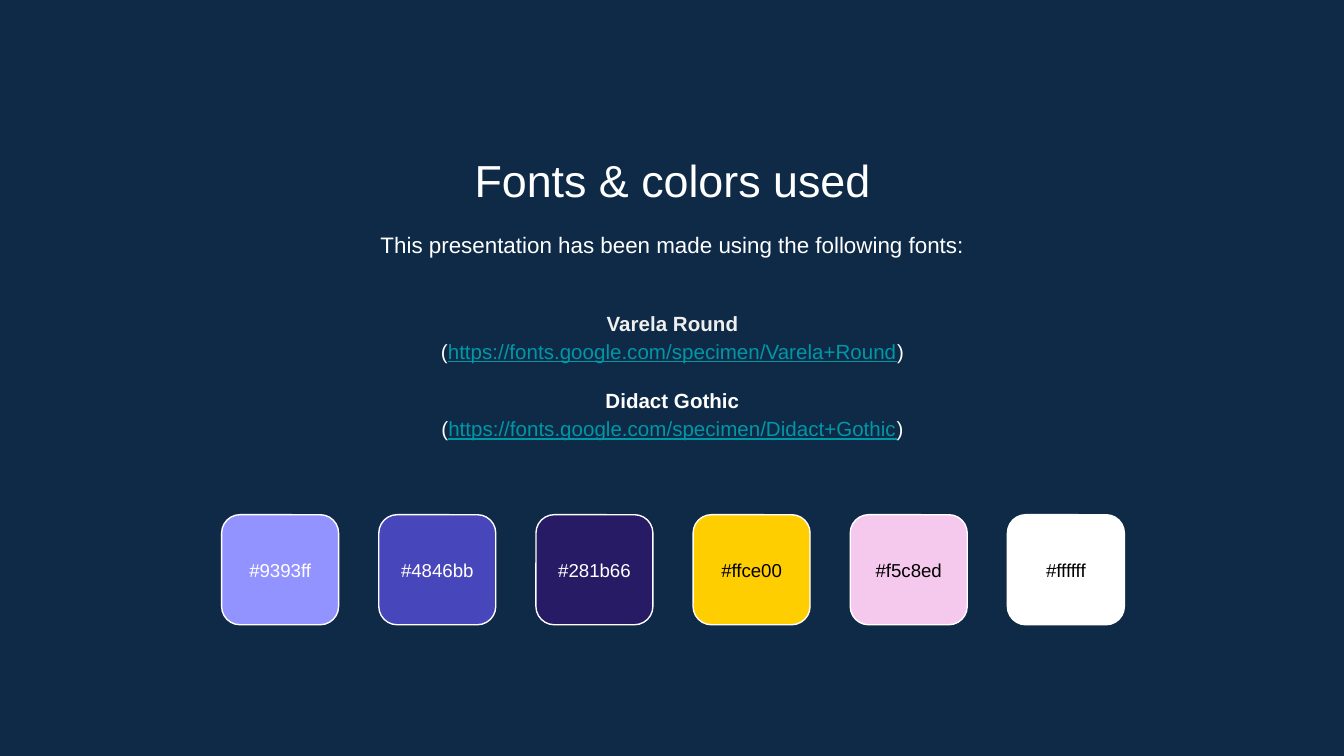
from pptx import Presentation
from pptx import util as u
from pptx.dml.color import RGBColor
from pptx.enum import shapes, text

Cm, Pt = u.Cm, u.Pt
NAVY = RGBColor(0x0E, 0x2A, 0x47)
WHITE = RGBColor(0xFF, 0xFF, 0xFF)
BLACK = RGBColor(0, 0, 0)
PALE = RGBColor(0xEF, 0xEF, 0xEF)
TEAL = RGBColor(0, 0x97, 0xA7)

TITLE = "Fonts & colors used"
INTRO = "This presentation has been made using the following fonts:"
FONTS = [
    ("Varela Round", PALE, "https://fonts.google.com/specimen/Varela+Round"),
    ("Didact Gothic", WHITE, "https://fonts.google.com/specimen/Didact+Gothic"),
]
COLORS = [
    ("#9393ff", WHITE),
    ("#4846bb", WHITE),
    ("#281b66", WHITE),
    ("#ffce00", BLACK),
    ("#f5c8ed", BLACK),
    ("#ffffff", BLACK),
]
LEFT, WIDE = 2.92, 19.58
TILE_X, TILE_Y, TILE_W, TILE_H, STEP = 4.19, 9.73, 2.21, 2.08, 2.97


def set_frame(shape, anchor):
    frame = shape.text_frame
    frame.word_wrap = True
    frame.auto_size = text.MSO_AUTO_SIZE.NONE
    frame.vertical_anchor = anchor
    frame.margin_left = frame.margin_right = Cm(0.25)
    frame.margin_top = frame.margin_bottom = Cm(0.25)
    return frame


def add_line(frame, runs, size, first=True, space=1.0, before=0):
    para = frame.paragraphs[0] if first else frame.add_paragraph()
    para.alignment = text.PP_ALIGN.CENTER
    para.line_spacing = space
    para.space_before = Pt(before)
    for words, color, bold, under in runs:
        run = para.add_run()
        run.text = words
        font = run.font
        font.name, font.size = "Arial", Pt(size)
        font.bold, font.underline = bold, under
        font.color.rgb = color


def add_box(slide, top, high, anchor):
    box = slide.shapes.add_textbox(Cm(LEFT), Cm(top), Cm(WIDE), Cm(high))
    return set_frame(box, anchor)


def add_tile(slide, col, code, ink):
    tile = slide.shapes.add_shape(
        shapes.MSO_SHAPE.ROUNDED_RECTANGLE,
        Cm(TILE_X + col * STEP), Cm(TILE_Y), Cm(TILE_W), Cm(TILE_H))
    tile.shadow.inherit = False
    tile.fill.solid()
    tile.fill.fore_color.rgb = RGBColor.from_string(code[1:].upper())
    tile.line.color.rgb = WHITE
    tile.line.width = Pt(0.75)
    frame = set_frame(tile, text.MSO_ANCHOR.MIDDLE)
    add_line(frame, [(code, ink, False, False)], 10)


def main():
    deck = Presentation()
    deck.slide_width, deck.slide_height = Cm(25.4), Cm(14.29)
    slide = deck.slides.add_slide(deck.slide_layouts[5])
    slide.background.fill.solid()
    slide.background.fill.fore_color.rgb = NAVY

    title = slide.shapes.title
    title.left, title.top = Cm(LEFT), Cm(2.64)
    title.width, title.height = Cm(WIDE), Cm(1.35)
    frame = set_frame(title, text.MSO_ANCHOR.TOP)
    add_line(frame, [(TITLE, WHITE, False, False)], 24)

    frame = add_box(slide, 4.04, 1.22, text.MSO_ANCHOR.TOP)
    add_line(frame, [(INTRO, WHITE, False, False)], 12, space=1.15)

    frame = add_box(slide, 5.33, 3.48, text.MSO_ANCHOR.MIDDLE)
    for row, (name, ink, link) in enumerate(FONTS):
        add_line(frame, [(name, ink, True, False)], 11, row == 0, 1.15, 11 * row)
        runs = [("(", WHITE, False, False), (link, TEAL, False, True),
                (")", WHITE, False, False)]
        add_line(frame, runs, 11, False, 1.15)

    for col, (code, ink) in enumerate(COLORS):
        add_tile(slide, col, code, ink)
    deck.save("out.pptx")


if __name__ == "__main__":
    main()
